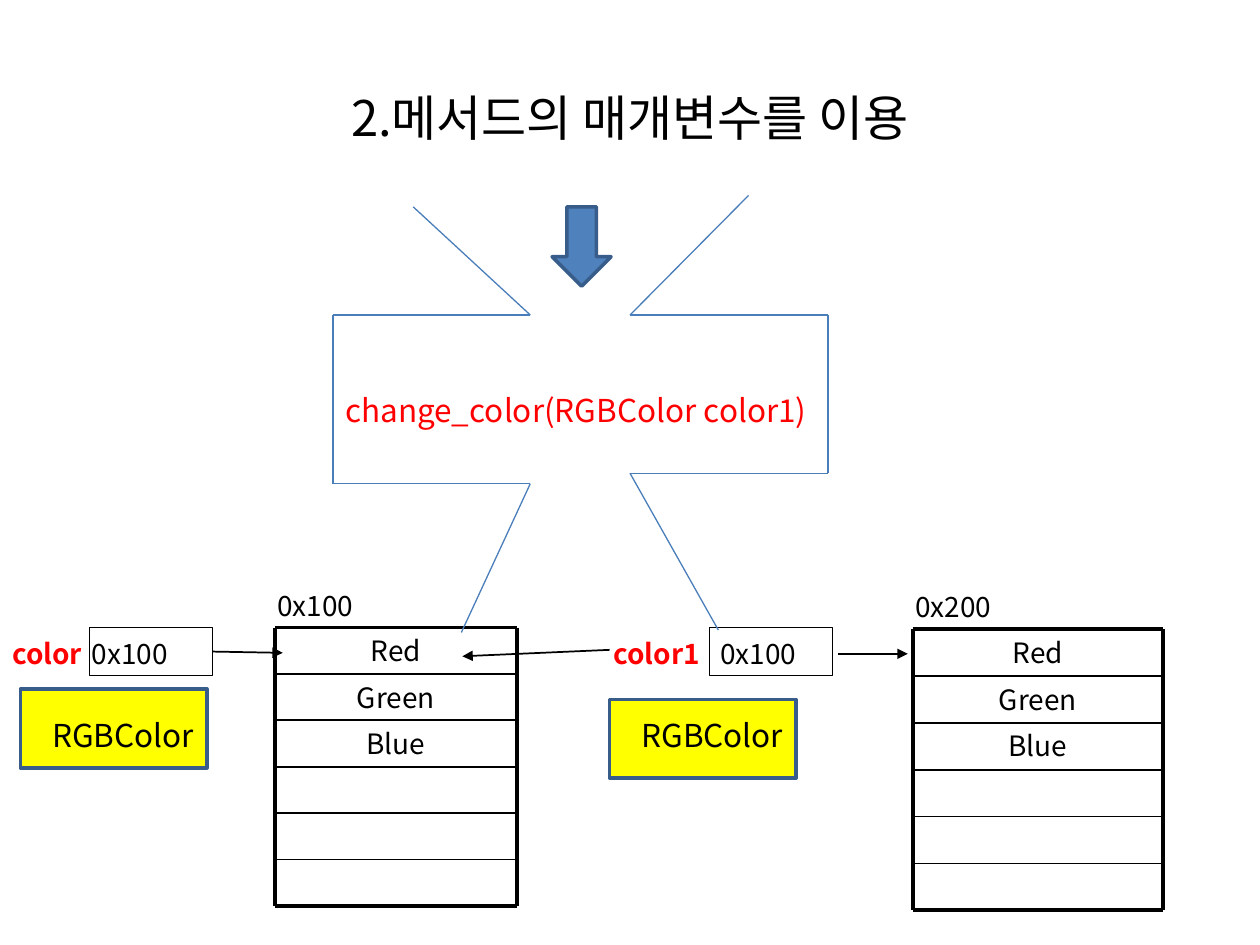
from lxml import etree
from pptx import Presentation
from pptx.dml.color import RGBColor
from pptx.enum.shapes import MSO_CONNECTOR, MSO_SHAPE
from pptx.enum.text import MSO_ANCHOR, PP_ALIGN
from pptx.oxml.ns import qn
from pptx.util import Cm, Pt

STRAIGHT = MSO_CONNECTOR.STRAIGHT
RECTANGLE = MSO_SHAPE.RECTANGLE
DOWN_ARROW = MSO_SHAPE.DOWN_ARROW
LEFT, CENTER = PP_ALIGN.LEFT, PP_ALIGN.CENTER
TOP, MIDDLE = MSO_ANCHOR.TOP, MSO_ANCHOR.MIDDLE

FONT = "Noto Sans CJK KR"
BLACK, RED, YELLOW = "000000", "FF0000", "FFFF00"
BLUE, DARK_BLUE, FUNNEL_BLUE = "4F81BD", "385D8A", "4A7EBB"
CHANNELS = ("Red", "Green", "Blue")
MEMORY_ROWS = 6
LABEL_HEIGHT = 0.94


def color(hex_code):
    return RGBColor.from_string(hex_code)


def add_label(slide, text, left, top, width, height=LABEL_HEIGHT, size=16,
              ink=BLACK, bold=False, align=LEFT, anchor=TOP, space_before=0):
    label = slide.shapes.add_textbox(Cm(left), Cm(top), Cm(width), Cm(height))
    frame = label.text_frame
    frame.word_wrap = True
    frame.vertical_anchor = anchor
    paragraph = frame.paragraphs[0]
    paragraph.alignment = align
    paragraph.space_before = Pt(space_before)
    run = paragraph.add_run()
    run.text = text
    run.font.name = FONT
    run.font.size = Pt(size)
    run.font.bold = bold
    run.font.color.rgb = color(ink)
    east_asian = etree.SubElement(run.font._element, qn("a:ea"))
    east_asian.set("typeface", FONT)


def add_line(slide, start, end, ink=BLACK, weight=1.0, arrow=False):
    line = slide.shapes.add_connector(STRAIGHT, *map(Cm, start + end))
    line.line.color.rgb = color(ink)
    line.line.width = Pt(weight)
    if arrow:
        head = etree.SubElement(line.line._get_or_add_ln(), qn("a:tailEnd"))
        head.set("type", "triangle")
    etree.SubElement(line._element.spPr, qn("a:effectLst"))
    return line


def add_block(slide, preset, left, top, width, height, ink, weight, fill=None):
    block = slide.shapes.add_shape(preset, Cm(left), Cm(top), Cm(width), Cm(height))
    block.shadow.inherit = False
    if fill:
        block.fill.solid()
        block.fill.fore_color.rgb = color(fill)
    else:
        block.fill.background()
    block.line.color.rgb = color(ink)
    block.line.width = Pt(weight)
    return block


def add_title(slide, left, top, width, height):
    add_label(slide, "2.메서드의 매개변수를 이용", left, top, width, height,
              size=28, align=CENTER, anchor=MIDDLE)


def add_memory(slide, address, left, top, width, height):
    row_height = height / MEMORY_ROWS
    right, bottom = left + width, top + height
    for row, channel in enumerate(CHANNELS):
        add_label(slide, channel, left, top + row * row_height, width,
                  row_height, align=CENTER, space_before=4)
    for row in range(MEMORY_ROWS + 1):
        y = top + row * row_height
        weight = 2.25 if row in (0, MEMORY_ROWS) else 1
        add_line(slide, (left, y), (right, y), weight=weight)
    for x in (left, right):
        add_line(slide, (x, top), (x, bottom), weight=2.25)
    add_label(slide, address, left - 0.2, top - 0.91, 2.5)


def add_variable(slide, name, left, top, value_left):
    add_label(slide, name, left, top + 0.05, 2.84, ink=RED, bold=True)
    cell_left = left + (1.8 if name == "color" else 2.18)
    cell = add_block(slide, RECTANGLE, cell_left, top, 2.49, 0.97, BLACK, 0.75)
    add_label(slide, "0x100", value_left, top + 0.05, 2.49)
    return cell


def add_type_tag(slide, left, top, text_offset):
    add_block(slide, RECTANGLE, left, top, 3.76, 1.59, DARK_BLUE, 2, YELLOW)
    add_label(slide, "RGBColor", left + 0.39, top + text_offset, 3.7, 1.02, size=18)


def add_method_funnel(slide, left, top, width, height):
    right, bottom = left + width, top + height
    neck_left, neck_right = left + 3.98, left + 5.99
    body_top, body_left_bottom, body_right_bottom = top + 2.41, top + 5.81, top + 5.6
    outline_left = [
        (left + 1.62, top + 0.23), (neck_left, body_top), (left, body_top),
        (left, body_left_bottom), (neck_left, body_left_bottom),
        (left + 2.59, bottom + 0.05),
    ]
    outline_right = [
        (left + 8.38, top), (neck_right, body_top), (right, body_top),
        (right, body_right_bottom), (neck_right, body_right_bottom),
        (left + 7.77, bottom),
    ]
    for outline in (outline_left, outline_right):
        for start, end in zip(outline, outline[1:]):
            add_line(slide, start, end, FUNNEL_BLUE, 0.75)
    add_block(slide, DOWN_ARROW, left + 4.42, top + 0.23, 1.19, 1.6,
              DARK_BLUE, 2, BLUE)
    add_label(slide, "change_color(RGBColor color1)", left, top + 3.81,
              width + 0.5, 1.02, size=18, ink=RED)


def main():
    deck = Presentation()
    deck.slide_width, deck.slide_height = Cm(25.4), Cm(19.05)
    slide = deck.slides.add_slide(deck.slide_layouts[6])

    add_title(slide, 1.27, 0.76, 22.86, 3.18)
    color_cell = add_variable(slide, "color", 0, 12.65, 1.6)
    add_memory(slide, "0x100", 5.54, 12.65, 4.88, 5.61)
    add_memory(slide, "0x200", 18.4, 12.68, 5.04, 5.67)
    add_variable(slide, "color1", 12.12, 12.65, 14.27)

    color_pointer = add_line(slide, (4.29, 13.14), (5.7, 13.16), arrow=True)
    color_pointer.begin_connect(color_cell, 3)
    add_line(slide, (16.9, 13.18), (18.3, 13.18), arrow=True)
    add_line(slide, (12.29, 13.1), (9.32, 13.23), arrow=True)

    add_method_funnel(slide, 6.71, 3.94, 9.98, 8.76)
    add_type_tag(slide, 0.41, 13.89, 0.41)
    add_type_tag(slide, 12.29, 14.1, 0.2)
    deck.save("out.pptx")


if __name__ == "__main__":
    main()
